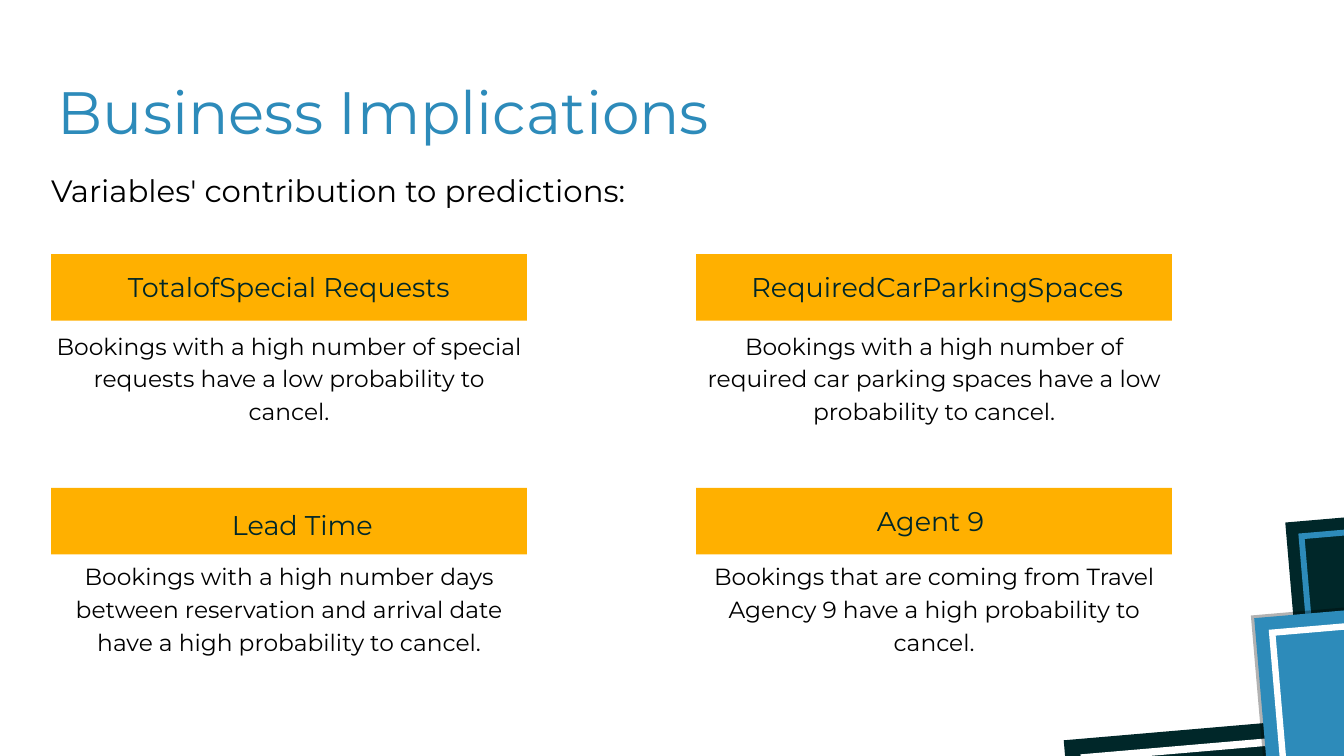
from dataclasses import dataclass

from lxml import etree
from pptx import Presentation
from pptx.dml.color import RGBColor
from pptx.enum.shapes import MSO_SHAPE as Shape
from pptx.enum.text import MSO_AUTO_SIZE as AutoSize, PP_ALIGN as Align
from pptx.oxml.ns import qn
from pptx.util import Inches, Pt


@dataclass(frozen=True)
class Theme:
    font: str = "Montserrat"
    blue: str = "2D8BBA"
    dark: str = "002729"
    amber: str = "FFB000"
    white: str = "FFFFFF"
    black: str = "000000"
    title: int = 64
    subtitle: int = 33
    label: int = 29
    body: int = 25
    leading: float = 1.4


THEME = Theme()

TITLE = " Business Implications"
SUBTITLE = "Variables' contribution to predictions:"

CARDS = [
    {
        "label": "TotalofSpecial Requests",
        "label_box": (1.81, 3.95, 4.98),
        "align": Align.CENTER,
        "body": "Bookings with a high number of special requests have a low probability to cancel.",
    },
    {
        "label": "RequiredCarParkingSpaces",
        "label_box": (11.08, 3.95, 5.74),
        "align": Align.CENTER,
        "body": "Bookings with a high number of required car parking spaces have a low probability to cancel.",
    },
    {
        "label": "Lead Time",
        "label_box": (3.45, 7.49, 2.3),
        "align": Align.LEFT,
        "body": "Bookings with a high number days between reservation and arrival date have a high probability to cancel.",
    },
    {
        "label": "Agent 9",
        "label_box": (13.05, 7.43, 1.67),
        "align": Align.LEFT,
        "body": "Bookings that are coming from Travel Agency 9 have a high probability to cancel.",
    },
]

COLUMNS = (0.76, 10.36)
BAR_TOPS = (3.78, 7.26)
BODY_TOPS = (4.87, 8.3)
CARD_WIDTH = 7.08
BAR_HEIGHT = 0.99
BODY_HEIGHT = 1.44

TILT = -4.9
FRAME_THICKNESS = 0.03
TILES = [
    (Shape.RECTANGLE, 16, 10.83, 4.18, THEME.dark, 100),
    (Shape.FRAME, 16.23, 11.06, 3.72, THEME.white, 100),
    (Shape.RECTANGLE, 19.26, 7.63, 3.27, THEME.dark, 100),
    (Shape.FRAME, 19.44, 7.81, 2.92, THEME.blue, 100),
    (Shape.RECTANGLE, 18.76, 9, 3.57, THEME.black, 30),
    (Shape.RECTANGLE, 18.81, 9.04, 3.57, THEME.blue, 100),
    (Shape.FRAME, 19.01, 9.23, 3.18, THEME.white, 100),
]


def add_text(slide, text, left, top, width, height, size, color, align=Align.LEFT):
    box = slide.shapes.add_textbox(Inches(left), Inches(top), Inches(width), Inches(height))
    frame = box.text_frame
    frame.margin_left = frame.margin_top = frame.margin_right = frame.margin_bottom = 0
    frame.word_wrap = True
    frame.auto_size = AutoSize.SHAPE_TO_FIT_TEXT
    frame.text = text
    paragraph = frame.paragraphs[0]
    paragraph.alignment = align
    paragraph.line_spacing = Pt(size * THEME.leading)
    font = paragraph.runs[0].font
    font.name = THEME.font
    font.size = Pt(size)
    font.color.rgb = RGBColor.from_string(color)


def add_block(slide, kind, left, top, width, height, color, opacity=100):
    shape = slide.shapes.add_shape(kind, Inches(left), Inches(top), Inches(width), Inches(height))
    shape.shadow.inherit = False
    shape.fill.solid()
    shape.fill.fore_color.rgb = RGBColor.from_string(color)
    shape.line.fill.background()
    if opacity < 100:
        fill_color = shape.fill._xPr.find(qn("a:solidFill"))[0]
        etree.SubElement(fill_color, qn("a:alpha"), val=str(opacity * 1000))
    return shape


def add_card(slide, index, card):
    row, column = divmod(index, len(COLUMNS))
    left = COLUMNS[column]
    label_left, label_top, label_width = card["label_box"]
    add_block(slide, Shape.RECTANGLE, left, BAR_TOPS[row], CARD_WIDTH, BAR_HEIGHT, THEME.amber)
    add_text(slide, card["label"], label_left, label_top, label_width, 0.57,
             THEME.label, THEME.dark, card["align"])
    add_text(slide, card["body"], left, BODY_TOPS[row], CARD_WIDTH, BODY_HEIGHT,
             THEME.body, THEME.black, Align.CENTER)


def add_tile(slide, kind, left, top, side, color, opacity):
    tile = add_block(slide, kind, left, top, side, side, color, opacity)
    tile.rotation = TILT
    if kind == Shape.FRAME:
        tile.adjustments[0] = FRAME_THICKNESS


def main():
    presentation = Presentation()
    presentation.slide_width = Inches(20)
    presentation.slide_height = Inches(11.25)
    slide = presentation.slides.add_slide(presentation.slide_layouts[6])
    add_text(slide, TITLE, 0.63, 0.93, 10.37, 1.26, THEME.title, THEME.blue, Align.JUSTIFY)
    add_text(slide, SUBTITLE, 0.76, 2.46, 9.59, 0.65, THEME.subtitle, THEME.black)
    for index, card in enumerate(CARDS):
        add_card(slide, index, card)
    for tile in TILES:
        add_tile(slide, *tile)
    presentation.save("out.pptx")


if __name__ == "__main__":
    main()
